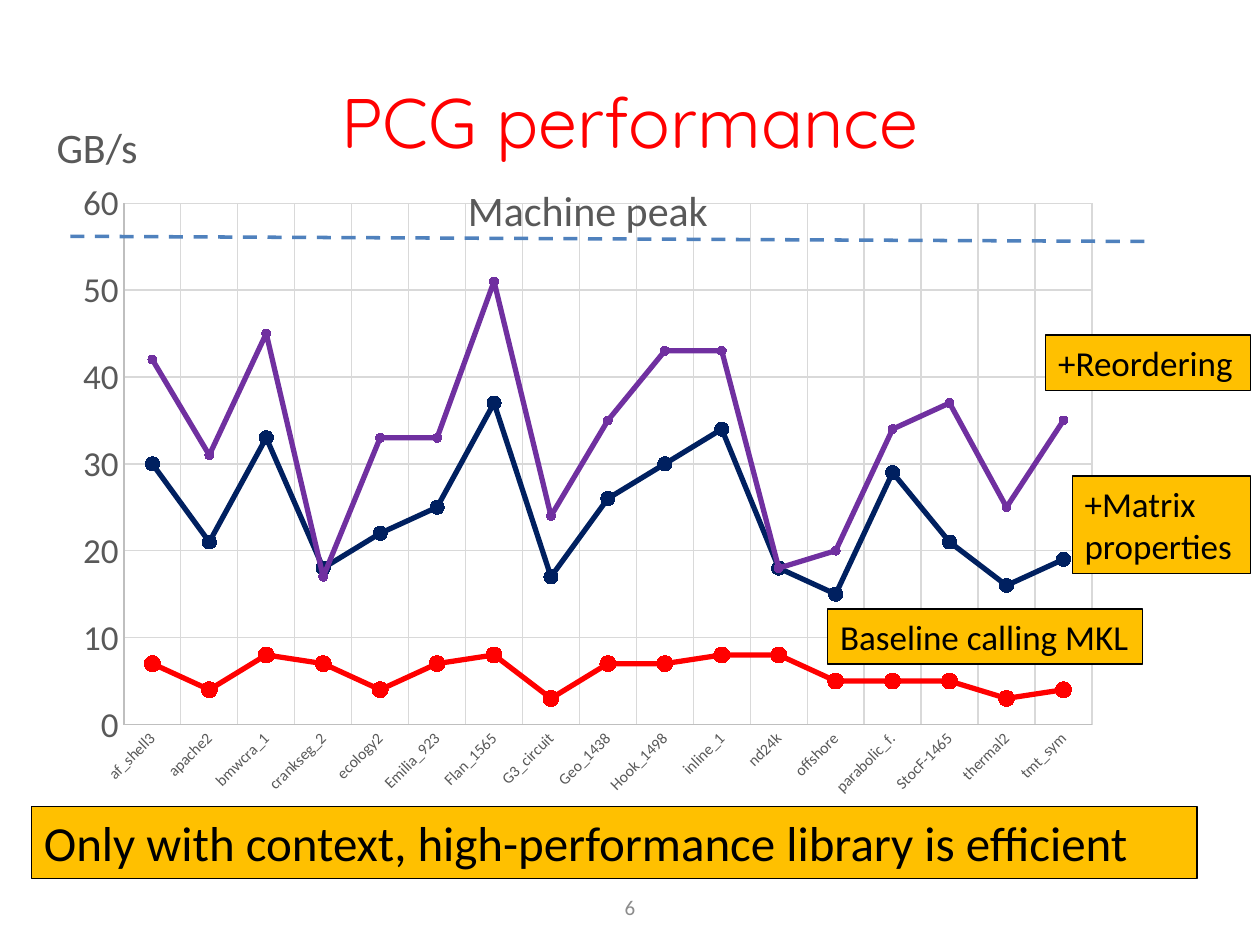
from dataclasses import dataclass

from lxml.etree import SubElement
from pptx import Presentation
from pptx.chart.data import CategoryChartData
from pptx.dml.color import RGBColor
from pptx.enum.chart import XL_CHART_TYPE, XL_MARKER_STYLE, XL_TICK_MARK
from pptx.enum.dml import MSO_LINE
from pptx.enum.shapes import MSO_CONNECTOR, MSO_SHAPE
from pptx.enum.text import MSO_ANCHOR, PP_ALIGN
from pptx.oxml import parse_xml
from pptx.oxml.ns import nsdecls, qn
from pptx.util import Pt

RED = RGBColor(0xFF, 0x00, 0x00)
NAVY = RGBColor(0x00, 0x20, 0x60)
PURPLE = RGBColor(0x70, 0x30, 0xA0)
BLUE = RGBColor(0x4F, 0x81, 0xBD)
AMBER = RGBColor(0xFF, 0xC0, 0x00)
BLACK = RGBColor(0x00, 0x00, 0x00)
TEXT_GRAY = RGBColor(0x59, 0x59, 0x59)
NUMBER_GRAY = RGBColor(0x8C, 0x8C, 0x8C)
AXIS_GRAY = RGBColor(0xBF, 0xBF, 0xBF)
GRID_GRAY = RGBColor(0xD9, 0xD9, 0xD9)


@dataclass
class Label:
    text: str
    left: float
    top: float
    width: float
    height: float
    size: float
    color: RGBColor = BLACK
    align: PP_ALIGN = PP_ALIGN.LEFT
    anchor: MSO_ANCHOR = MSO_ANCHOR.TOP


@dataclass
class Series:
    name: str
    color: RGBColor
    marker_size: int
    values: tuple


MATRICES = ("af_shell3", "apache2", "bmwcra_1", "crankseg_2", "ecology2", "Emilia_923",
            "Flan_1565", "G3_circuit", "Geo_1438", "Hook_1498", "inline_1", "nd24k",
            "offshore", "parabolic_f.", "StocF-1465", "thermal2", "tmt_sym")
SERIES = [
    Series("Baseline", RED, 9, (7, 4, 8, 7, 4, 7, 8, 3, 7, 7, 8, 8, 5, 5, 5, 3, 4)),
    Series("Matrix properties", NAVY, 8,
           (30, 21, 33, 18, 22, 25, 37, 17, 26, 30, 34, 18, 15, 29, 21, 16, 19)),
    Series("Reordering", PURPLE, 5,
           (42, 31, 45, 17, 33, 33, 51, 24, 35, 43, 43, 18, 20, 34, 37, 25, 35)),
]
PLOT_AREA = {"x": 0.058, "y": 0.055, "w": 0.922, "h": 0.814}

PLAIN_LABELS = [
    Label("6", 276, 504, 168, 28.8, 12, NUMBER_GRAY, PP_ALIGN.CENTER, MSO_ANCHOR.MIDDLE),
    Label("Machine peak", 228, 102, 216, 36, 24, TEXT_GRAY, PP_ALIGN.CENTER),
    Label("GB/s", 19.5, 66, 72, 36, 24, TEXT_GRAY, PP_ALIGN.CENTER),
]
BOXES = [
    Label("Only with context, high-performance library is efficient", 18, 461, 666, 41, 28),
    Label("Baseline calling MKL", 473, 348, 180, 31.5, 20),
    Label("+Matrix properties", 612.7, 272, 102, 55.7, 20),
    Label("+Reordering", 597.6, 191.5, 117, 31.5, 20),
]


def style_font(font, size: float, color: RGBColor, name: str = "Calibri") -> None:
    for attr, value in {"name": name, "size": Pt(size), "bold": False}.items():
        setattr(font, attr, value)
    font.color.rgb = color


def style_line(line, color: RGBColor, width: float) -> None:
    line.color.rgb = color
    line.width = Pt(width)


def write_label(sp, label: Label) -> None:
    tf = sp.text_frame
    for attr, value in {"word_wrap": True, "vertical_anchor": label.anchor}.items():
        setattr(tf, attr, value)
    p = tf.paragraphs[0]
    p.alignment = label.align
    r = p.add_run()
    r.text = label.text
    style_font(r.font, label.size, label.color)


def place(label: Label) -> tuple:
    return Pt(label.left), Pt(label.top), Pt(label.width), Pt(label.height)


def add_plain(s, label: Label) -> None:
    write_label(s.shapes.add_textbox(*place(label)), label)


def add_box(s, label: Label) -> None:
    sp = s.shapes.add_shape(MSO_SHAPE.RECTANGLE, *place(label))
    sp.shadow.inherit = False
    sp.fill.solid()
    sp.fill.fore_color.rgb = AMBER
    style_line(sp.line, BLACK, 0.75)
    write_label(sp, label)


def style_axis(axis, size: float) -> None:
    for attr, value in {"major_tick_mark": XL_TICK_MARK.NONE,
                        "minor_tick_mark": XL_TICK_MARK.NONE,
                        "has_major_gridlines": True}.items():
        setattr(axis, attr, value)
    style_line(axis.format.line, AXIS_GRAY, 0.75)
    style_line(axis.major_gridlines.format.line, GRID_GRAY, 0.75)
    style_font(axis.tick_labels.font, size, TEXT_GRAY)


def fix_plot_area(chart) -> None:
    plot_area = chart._chartSpace.chart.plotArea
    for old in plot_area.findall(qn("c:layout")):
        plot_area.remove(old)
    layout = parse_xml(f"<c:layout {nsdecls('c')}><c:manualLayout/></c:layout>")
    settings = {"layoutTarget": "inner", "xMode": "edge", "yMode": "edge", **PLOT_AREA}
    for tag, value in settings.items():
        SubElement(layout[0], qn(f"c:{tag}"), val=str(value))
    plot_area.insert(0, layout)


def add_performance_chart(s) -> None:
    data = CategoryChartData()
    data.categories = MATRICES
    for series in SERIES:
        data.add_series(series.name, series.values)
    chart = s.shapes.add_chart(XL_CHART_TYPE.LINE_MARKERS, Pt(36), Pt(96),
                               Pt(600), Pt(366), data).chart
    chart.has_title = False
    chart.has_legend = False
    style_font(chart.font, 10, BLACK)
    chart.plots[0].vary_by_categories = False
    style_axis(chart.category_axis, 9)
    style_axis(chart.value_axis, 20)
    for attr, value in {"minimum_scale": 0, "maximum_scale": 60, "major_unit": 10}.items():
        setattr(chart.value_axis, attr, value)
    # Slanted matrix names
    chart.category_axis._element.find(qn("c:txPr")).find(qn("a:bodyPr")).set("rot", "-2700000")
    for line, series in zip(chart.plots[0].series, SERIES):
        line.smooth = False
        style_line(line.format.line, series.color, 3)
        line.marker.style = XL_MARKER_STYLE.CIRCLE
        line.marker.size = series.marker_size
        line.marker.format.fill.solid()
        line.marker.format.fill.fore_color.rgb = series.color
        line.marker.format.line.color.rgb = series.color
    fix_plot_area(chart)


def add_peak_line(s) -> None:
    line = s.shapes.add_connector(MSO_CONNECTOR.STRAIGHT, Pt(654), Pt(138), Pt(36), Pt(135))
    style_line(line.line, BLUE, 2)
    line.line.dash_style = MSO_LINE.DASH
    SubElement(line._element.spPr, qn("a:effectLst"))


def main() -> None:
    prs = Presentation()
    prs.slide_width, prs.slide_height = Pt(720), Pt(540)
    s = prs.slides.add_slide(prs.slide_layouts[5])

    # Title
    title = s.shapes.title
    for attr, value in {"left": 36, "top": 24, "width": 648, "height": 90}.items():
        setattr(title, attr, Pt(value))
    title.text_frame.vertical_anchor = MSO_ANCHOR.MIDDLE
    p = title.text_frame.paragraphs[0]
    p.alignment = PP_ALIGN.CENTER
    r = p.add_run()
    r.text = "PCG performance"
    style_font(r.font, 40, RED, "Quicksand")

    # Chart with the machine peak
    add_performance_chart(s)
    add_peak_line(s)

    # Labels and callouts
    for label in PLAIN_LABELS:
        add_plain(s, label)
    for box in BOXES:
        add_box(s, box)

    prs.save("out.pptx")


if __name__ == "__main__":
    main()
